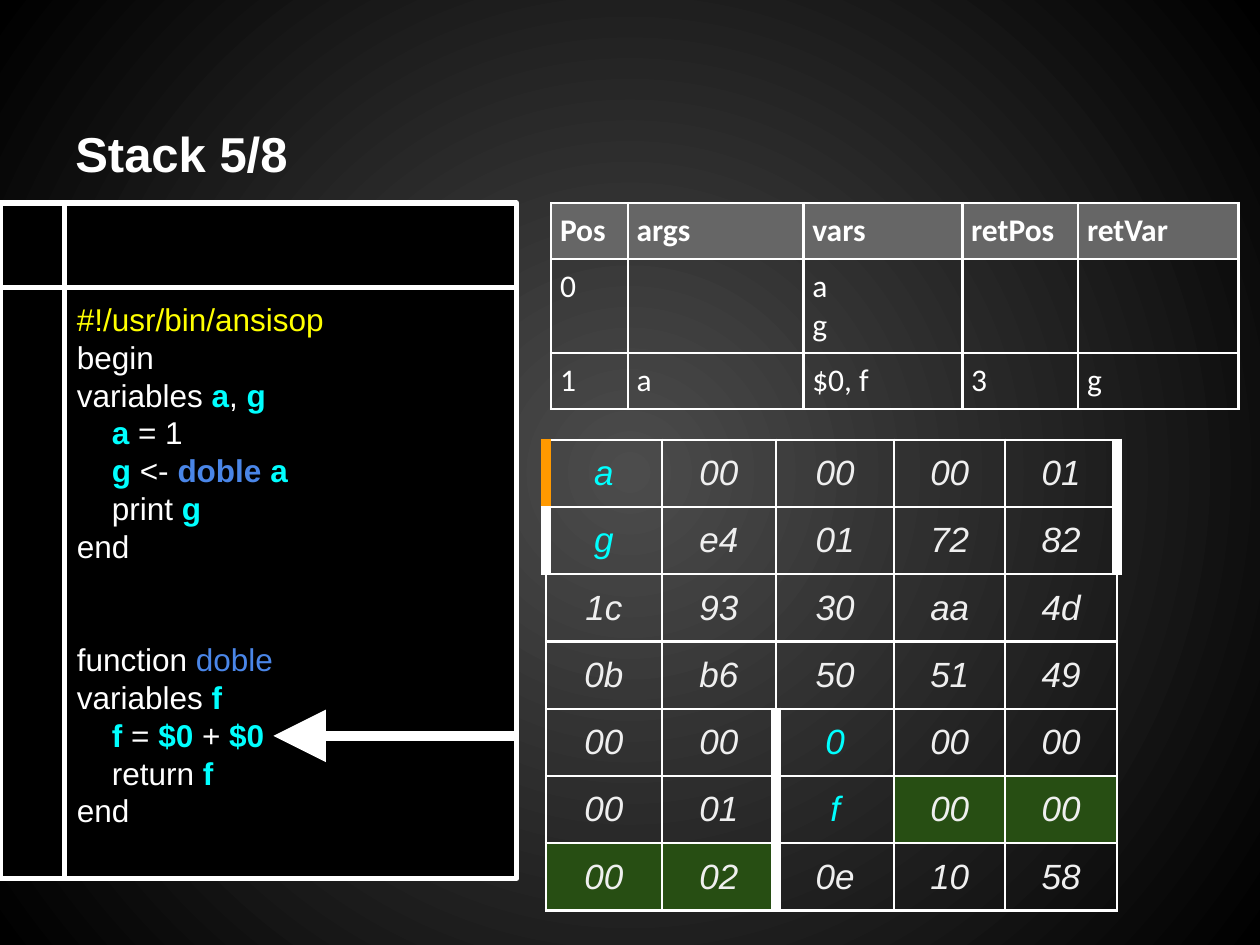
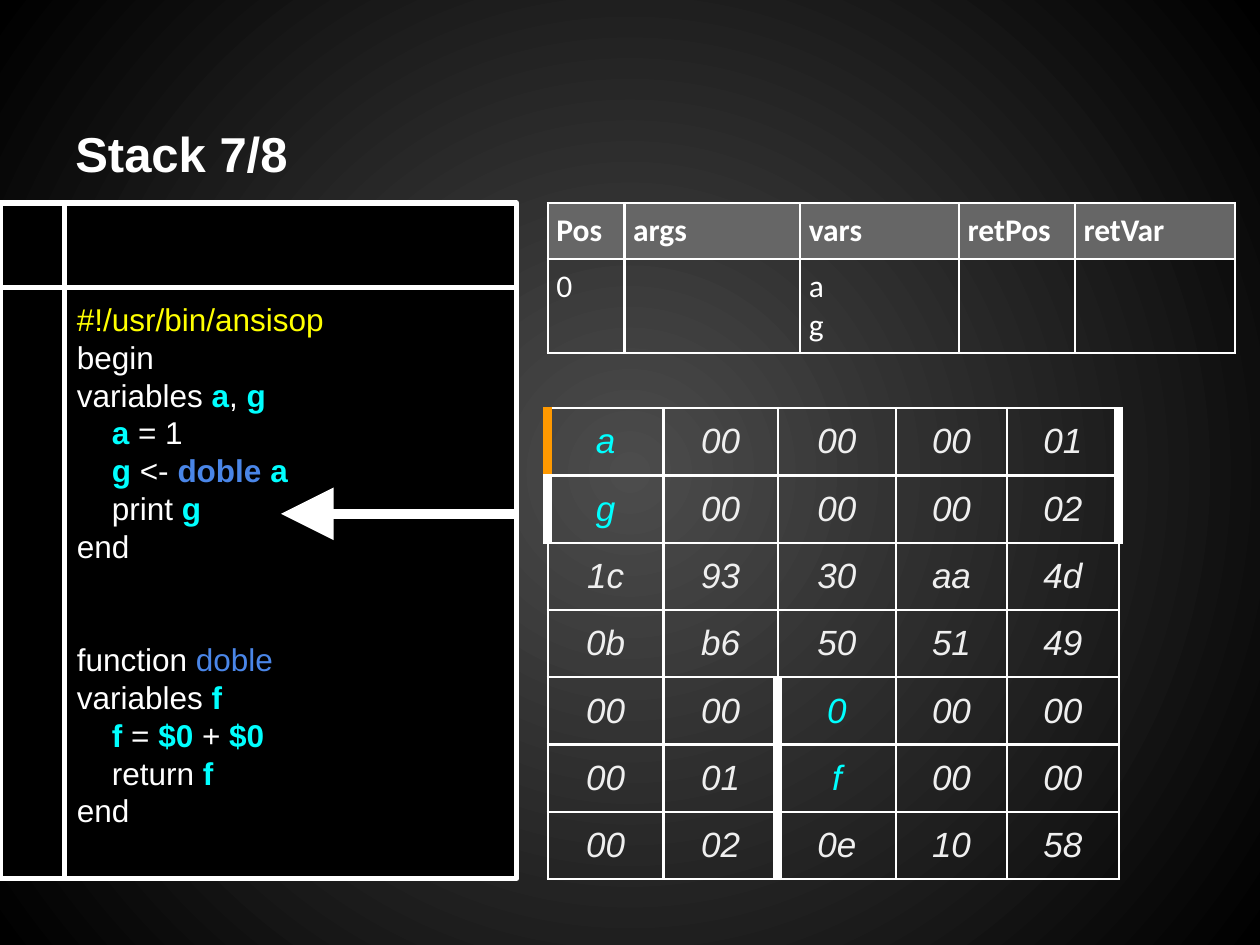
from lxml import etree
from pptx import Presentation
from pptx.dml.color import RGBColor
from pptx.enum import shapes, text
from pptx.oxml import ns, parse_xml
from pptx.util import Pt

WHITE = RGBColor(0xFF, 0xFF, 0xFF)
BLACK = RGBColor(0, 0, 0)
SMOKE = RGBColor(0x4C, 0x4C, 0x4C)
GRAY = RGBColor(0x66, 0x66, 0x66)
PALE = RGBColor(0xEF, 0xEF, 0xEF)
CYAN = RGBColor(0, 0xFF, 0xFF)
BLUE = RGBColor(0x4A, 0x86, 0xE8)
YELLOW = RGBColor(0xFF, 0xFF, 0)
ORANGE = RGBColor(0xFF, 0x99, 0)
GREEN = RGBColor(0x27, 0x4E, 0x13)

TITLE = {"name": "Arial", "size": Pt(28), "bold": True}
CODE = {"name": "Arial", "size": Pt(18), "bold": False}
FRAME = {"name": "Calibri", "size": Pt(18), "bold": False}
HEAD = {**FRAME, "bold": True}
BYTE = {"name": "Arial", "size": Pt(20), "italic": True}

PLAIN, VAR = (WHITE, False), (CYAN, True)
CALL, NAME, BANG = (BLUE, True), (BLUE, False), (YELLOW, False)
LINES = [
    [("#!/usr/bin/ansisop", BANG)],
    [("begin", PLAIN)],
    [("variables ", PLAIN), ("a", VAR), (", ", PLAIN), ("g", VAR)],
    [("    ", PLAIN), ("a", VAR), (" = 1", PLAIN)],
    [("    ", PLAIN), ("g", VAR), (" <- ", PLAIN), ("doble ", CALL), ("a", VAR)],
    [("    print ", PLAIN), ("g", VAR)],
    [("end", PLAIN)],
    [("function ", PLAIN), ("doble", NAME)],
    [("variables ", PLAIN), ("f", VAR)],
    [("    ", PLAIN), ("f", VAR), (" = ", PLAIN), ("$0", VAR), (" + ", PLAIN), ("$0", VAR)],
    [("    return ", PLAIN), ("f", VAR)],
    [("end", PLAIN)],
]
PITCH = 21.6

LABELS = ["Pos", "args", "vars", "retPos", "retVar"]
MAIN = ["0", "", "a\ng", "", ""]
TAIL = ["1c 93 30 aa 4d", "0b b6 50 51 49", "00 00 0 00 00", "00 01 f 00 00", "00 02 0e 10 58"]
VARS = {(0, 0), (1, 0), (4, 2), (5, 2)}
THICK = {(r, c, side) for rows, ends in (
    ((0, 1), ((0, "L"), (4, "R"))),
    ((4, 5, 6), ((1, "R"), (2, "L"))),
) for r in rows for c, side in ends}

SLIDES = [
    {"title": "Stack 5/8", "arrow": (156.2, 420.5),
     "stack": (315, 116), "calls": [MAIN, ["1", "a", "$0, f", "3", "g"]],
     "heap": (312, 251.3), "bytes": ["a 00 00 00 01", "g e4 01 72 82"],
     "marks": {(5, 3), (5, 4), (6, 0), (6, 1)}},
    {"title": "Stack 7/8", "arrow": (160.6, 293.6),
     "stack": (313, 116), "calls": [MAIN],
     "heap": (313, 233.2), "bytes": ["a 00 00 00 01", "g 00 00 00 02"],
     "marks": set()},
]


def write(para, words, style, color):
    run = para.add_run()
    run.text = words
    for key, val in style.items():
        setattr(run.font, key, val)
    run.font.color.rgb = color


def grid(slide, spot, rows, widths, heights, pad, align, anchor, look):
    table = slide.shapes.add_table(
        len(rows), len(widths), *map(Pt, spot), Pt(sum(widths)), Pt(sum(heights))).table
    table.first_row = table.horz_banding = False
    for col, width in zip(table.columns, widths):
        col.width = Pt(width)
    for r, row in enumerate(rows):
        table.rows[r].height = Pt(heights[r])
        for c, words in enumerate(row):
            cell = table.cell(r, c)
            style, color, fill, edges = look(r, c)
            for key in ("left", "right", "top", "bottom"):
                setattr(cell, "margin_" + key, Pt(pad))
            cell.vertical_anchor = anchor
            for n, part in enumerate(words.split("\n")):
                para = cell.text_frame.paragraphs[0] if n == 0 else cell.text_frame.add_paragraph()
                para.alignment = align
                if part:
                    write(para, part, style, color)
            props = cell._tc.get_or_add_tcPr()
            for side in "LRTB":
                tint, size = edges.get(side, (WHITE, 1.5))
                props.append(parse_xml(
                    f'<a:ln{side} {ns.nsdecls("a")} w="{Pt(size)}"><a:solidFill>'
                    f'<a:srgbClr val="{tint}"/></a:solidFill></a:ln{side}>'))
            if fill is None:
                cell.fill.background()
            else:
                cell.fill.solid()
                cell.fill.fore_color.rgb = fill


deck = Presentation()
deck.slide_width, deck.slide_height = Pt(720), Pt(540)
master = deck.slide_master
back = master.background.fill
back.gradient()
for stop, color in zip(back.gradient_stops, (SMOKE, BLACK)):
    stop.color.rgb = color
for stop, place in zip(back.gradient_stops, (0, 1)):
    stop.position = place
grad = master.element.find(".//" + ns.qn("a:gradFill"))
line = grad.find(ns.qn("a:lin"))
grad.replace(line, parse_xml(
    f'<a:path {ns.nsdecls("a")} path="circle">'
    '<a:fillToRect l="50000" t="50000" r="50000" b="50000"/></a:path>'))

for data in SLIDES:
    slide = deck.slides.add_slide(deck.slide_layouts[6])

    title = slide.shapes.add_textbox(Pt(36), Pt(21.6), Pt(177), Pt(90)).text_frame
    title.word_wrap = True
    title.vertical_anchor = text.MSO_ANCHOR.BOTTOM
    write(title.paragraphs[0], data["title"], TITLE, WHITE)

    panel = slide.shapes.add_shape(
        shapes.MSO_SHAPE.FLOWCHART_INTERNAL_STORAGE, 0, Pt(116), Pt(295.2), Pt(386))
    panel.shadow.inherit = False
    panel.fill.solid()
    panel.fill.fore_color.rgb = BLACK
    panel.line.color.rgb = WHITE
    panel.line.width = Pt(3)
    code = panel.text_frame
    code.word_wrap = True
    code.vertical_anchor = text.MSO_ANCHOR.TOP

    for frame in (title, code):
        for key in ("left", "right", "top", "bottom"):
            setattr(frame, "margin_" + key, Pt(7.2))

    for n, parts in enumerate(LINES):
        para = code.paragraphs[0] if n == 0 else code.add_paragraph()
        para.alignment = text.PP_ALIGN.LEFT
        para.line_spacing = Pt(PITCH)
        if parts[0][0] == "function ":
            para.space_before = Pt(2 * PITCH)
        for words, (color, bold) in parts:
            write(para, words, {**CODE, "bold": bold}, color)

    tip, level = map(Pt, data["arrow"])
    arrow = slide.shapes.add_connector(
        shapes.MSO_CONNECTOR.STRAIGHT, Pt(295.2), level, tip, level)
    arrow.line.color.rgb = WHITE
    arrow.line.width = Pt(6)
    etree.SubElement(arrow.line._get_or_add_ln(), ns.qn("a:tailEnd"),
                     type="triangle", w="lg", len="lg")
    etree.SubElement(arrow._element.spPr, ns.qn("a:effectLst"))

    grid(slide, data["stack"], [LABELS] + data["calls"],
         [43.8, 100.4, 90.8, 66.2, 91.6], [32, 53.8, 32][:len(data["calls"]) + 1],
         5, text.PP_ALIGN.JUSTIFY, text.MSO_ANCHOR.TOP,
         lambda r, c: (FRAME if r else HEAD, WHITE, None if r else GRAY, {}))

    grid(slide, data["heap"], [row.split() for row in data["bytes"] + TAIL],
         [66.2, 65.3, 67.6, 63.3, 64], [36.7] * 7,
         7.2, text.PP_ALIGN.CENTER, text.MSO_ANCHOR.MIDDLE,
         lambda r, c: (BYTE, CYAN if (r, c) in VARS else PALE,
                       GREEN if (r, c) in data["marks"] else None,
                       {side: (ORANGE if r == c == 0 else WHITE, 6)
                        for side in "LR" if (r, c, side) in THICK}))

deck.save("out.pptx")
